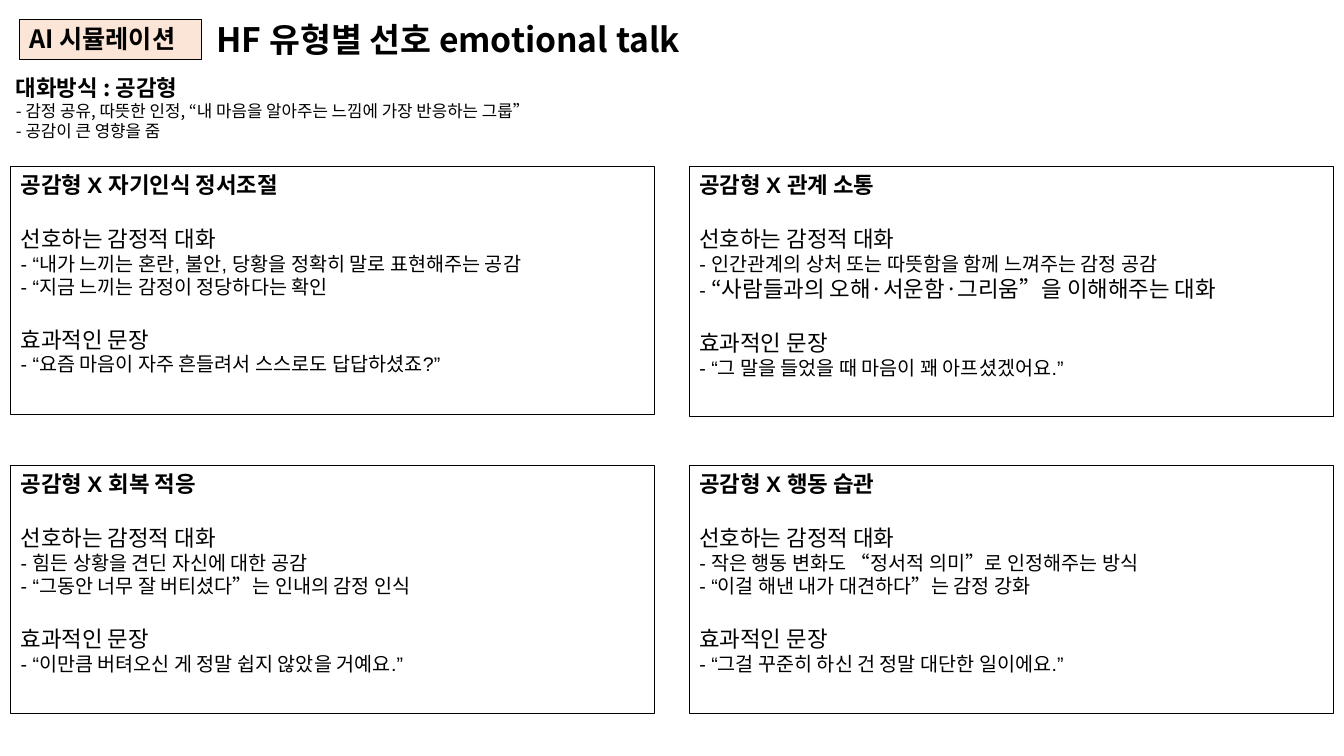
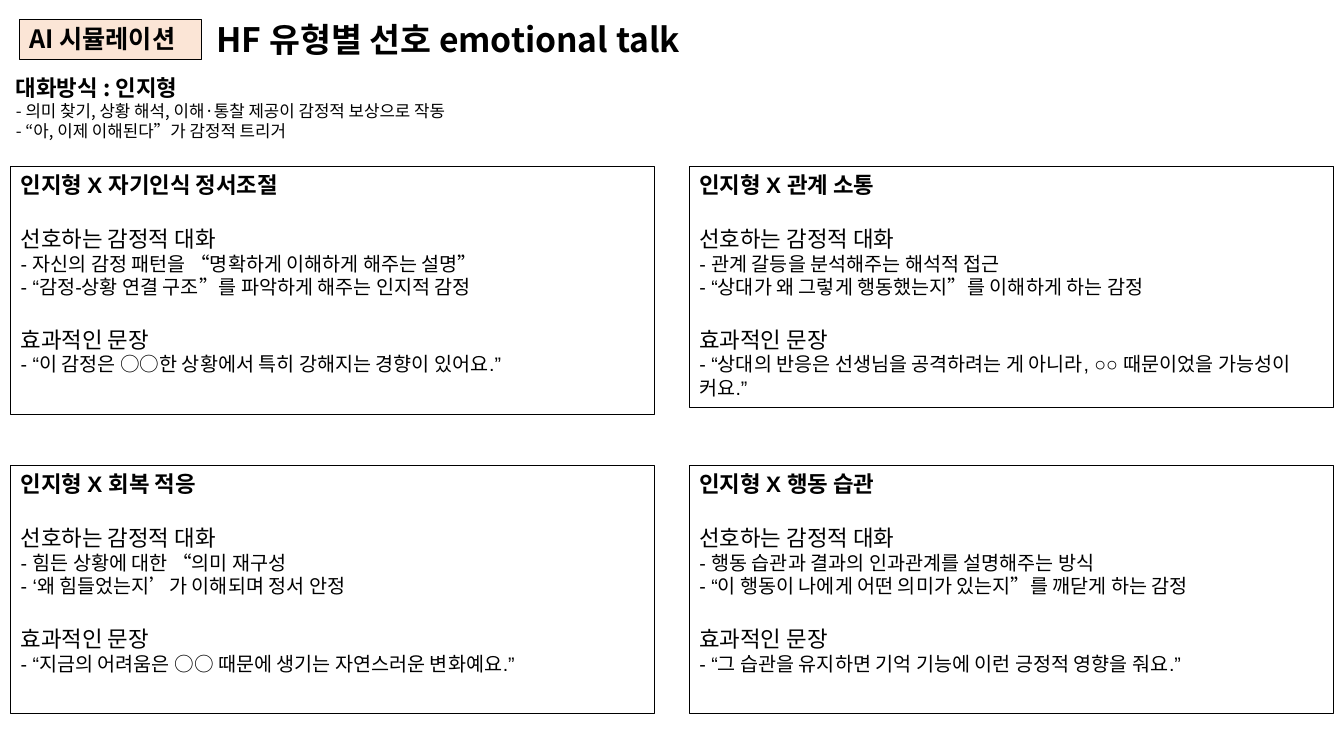
from collections import namedtuple

from pptx import Presentation
from pptx.dml.color import RGBColor
from pptx.enum.shapes import MSO_SHAPE as Shape
from pptx.enum.text import MSO_ANCHOR as Anchor, PP_ALIGN as Align
from pptx.oxml.ns import qn
from pptx.util import Pt

# Theme
Theme = namedtuple("Theme", "ink badge sans korean title label heading body note line gap")
theme = Theme(
    ink=RGBColor(0x00, 0x00, 0x00),
    badge=RGBColor(0xFB, 0xE5, 0xD6),
    sans="Arial",
    korean="Noto Sans CJK KR",
    title=24,
    label=18,
    heading=16,
    body=14,
    note=12,
    line=1.18,
    gap=20,
)

# Content: cards run left to right, top to bottom
PREFERRED = "선호하는 감정적 대화"
EFFECTIVE = "효과적인 문장"
TOPICS = ["자기인식 정서조절", "관계 소통", "회복 적응", "행동 습관"]
MISUNDERSTANDING = [
    ("- ", {}),
    ("“사람들과의 오해·서운함·그리움”을 이해해주는 대화",
     {"size": theme.heading, "font": theme.korean}),
]
REFRAMING = [("- ", {}), ("힘든 상황에 대한 “의미 재구성", {"font": theme.korean})]

# Each card: height, two preferred talks, effective sentence
styles = [
    {
        "name": "공감형",
        "notes": [
            "- 감정 공유, 따뜻한 인정, “내 마음을 알아주는 느낌에 가장 반응하는 그룹”",
            "- 공감이 큰 영향을 줌",
        ],
        "cards": [
            (177, "- “내가 느끼는 혼란, 불안, 당황을 정확히 말로 표현해주는 공감",
             "- “지금 느끼는 감정이 정당하다는 확인",
             "- “요즘 마음이 자주 흔들려서 스스로도 답답하셨죠?”"),
            (179, "- 인간관계의 상처 또는 따뜻함을 함께 느껴주는 감정 공감",
             MISUNDERSTANDING,
             "- “그 말을 들었을 때 마음이 꽤 아프셨겠어요.”"),
            (177, "- 힘든 상황을 견딘 자신에 대한 공감",
             "- “그동안 너무 잘 버티셨다”는 인내의 감정 인식",
             "- “이만큼 버텨오신 게 정말 쉽지 않았을 거예요.”"),
            (177, "- 작은 행동 변화도 “정서적 의미”로 인정해주는 방식",
             "- “이걸 해낸 내가 대견하다”는 감정 강화",
             "- “그걸 꾸준히 하신 건 정말 대단한 일이에요.”"),
        ],
    },
    {
        "name": "인지형",
        "notes": [
            "- 의미 찾기, 상황 해석, 이해·통찰 제공이 감정적 보상으로 작동",
            "- “아, 이제 이해된다”가 감정적 트리거",
        ],
        "cards": [
            (177, "- 자신의 감정 패턴을 “명확하게 이해하게 해주는 설명”",
             "- “감정-상황 연결 구조”를 파악하게 해주는 인지적 감정",
             "- “이 감정은 ○○한 상황에서 특히 강해지는 경향이 있어요.”"),
            (172, "- 관계 갈등을 분석해주는 해석적 접근",
             "- “상대가 왜 그렇게 행동했는지”를 이해하게 하는 감정",
             "- “상대의 반응은 선생님을 공격하려는 게 아니라, ○○ 때문이었을 가능성이 커요.”"),
            (177, REFRAMING,
             "- ‘왜 힘들었는지’가 이해되며 정서 안정",
             "- “지금의 어려움은 ○○ 때문에 생기는 자연스러운 변화예요.”"),
            (177, "- 행동 습관과 결과의 인과관계를 설명해주는 방식",
             "- “이 행동이 나에게 어떤 의미가 있는지”를 깨닫게 하는 감정",
             "- “그 습관을 유지하면 기억 기능에 이런 긍정적 영향을 줘요.”"),
        ],
    },
]


def add_text(shape, text, size=theme.body, font=theme.sans, bold=False, before=0):
    """Add one paragraph; text is a string or a list of (text, format) runs."""
    frame = shape.text_frame
    first = not frame.text
    paragraph = frame.paragraphs[0] if first else frame.add_paragraph()
    paragraph.alignment = Align.LEFT
    paragraph.space_before = Pt(before)
    parts = [(text, {})] if isinstance(text, str) else text
    tallest = max(style.get("size", size) for _, style in parts)
    paragraph.line_spacing = Pt(round(tallest * theme.line, 1))
    for words, style in parts:
        run = paragraph.add_run()
        run.text = words
        run.font.size = Pt(style.get("size", size))
        run.font.name = style.get("font", font)
        run.font.bold = bold
        run.font.color.rgb = theme.ink
        east_asian = run.font._element.makeelement(qn("a:ea"), {"typeface": theme.korean})
        run.font._element.find(qn("a:latin")).addnext(east_asian)


def add_box(slide, left, top, width, height, outlined=False, fill=None):
    """Add a top-anchored text box, or a rectangle when it has an outline."""
    place = [Pt(value) for value in (left, top, width, height)]
    if outlined:
        shape = slide.shapes.add_shape(Shape.RECTANGLE, *place)
        shape.shadow.inherit = False
        shape.line.color.rgb = theme.ink
        shape.line.width = Pt(0.75)
        if fill is None:
            shape.fill.background()
        else:
            shape.fill.solid()
            shape.fill.fore_color.rgb = fill
    else:
        shape = slide.shapes.add_textbox(*place)
    shape.text_frame.word_wrap = True
    shape.text_frame.vertical_anchor = Anchor.TOP
    return shape


presentation = Presentation()
presentation.slide_width = Pt(960)
presentation.slide_height = Pt(540)

for style in styles:
    slide = presentation.slides.add_slide(presentation.slide_layouts[6])

    # Badge and title
    badge = add_box(slide, 13.7, 13.7, 130.3, 29, outlined=True, fill=theme.badge)
    add_text(badge, "AI 시뮬레이션", size=theme.label, font=theme.korean, bold=True)
    title = add_box(slide, 147.6, 10.8, 441.4, 36)
    add_text(title, "HF 유형별 선호 emotional talk",
             size=theme.title, font=theme.korean, bold=True)

    # Conversation style
    summary = add_box(slide, 4.3, 49.7, 441.4, 60)
    add_text(summary, f"대화방식 : {style['name']}",
             size=theme.heading, font=theme.korean, bold=True)
    for note in style["notes"]:
        add_text(summary, note, size=theme.note, font=theme.korean)

    # Two by two grid of cards
    for index, (topic, content) in enumerate(zip(TOPICS, style["cards"])):
        height, first_talk, second_talk, sentence = content
        row, column = divmod(index, 2)
        card = add_box(slide, 7.7 + column * 484.8, 118.8 + row * 213.8,
                       460, height, outlined=True)
        add_text(card, f"{style['name']} X {topic}", size=theme.heading, bold=True)
        add_text(card, PREFERRED, size=theme.heading, before=theme.gap)
        add_text(card, first_talk)
        add_text(card, second_talk)
        add_text(card, EFFECTIVE, size=theme.heading, before=theme.gap)
        add_text(card, sentence)

presentation.save("out.pptx")
